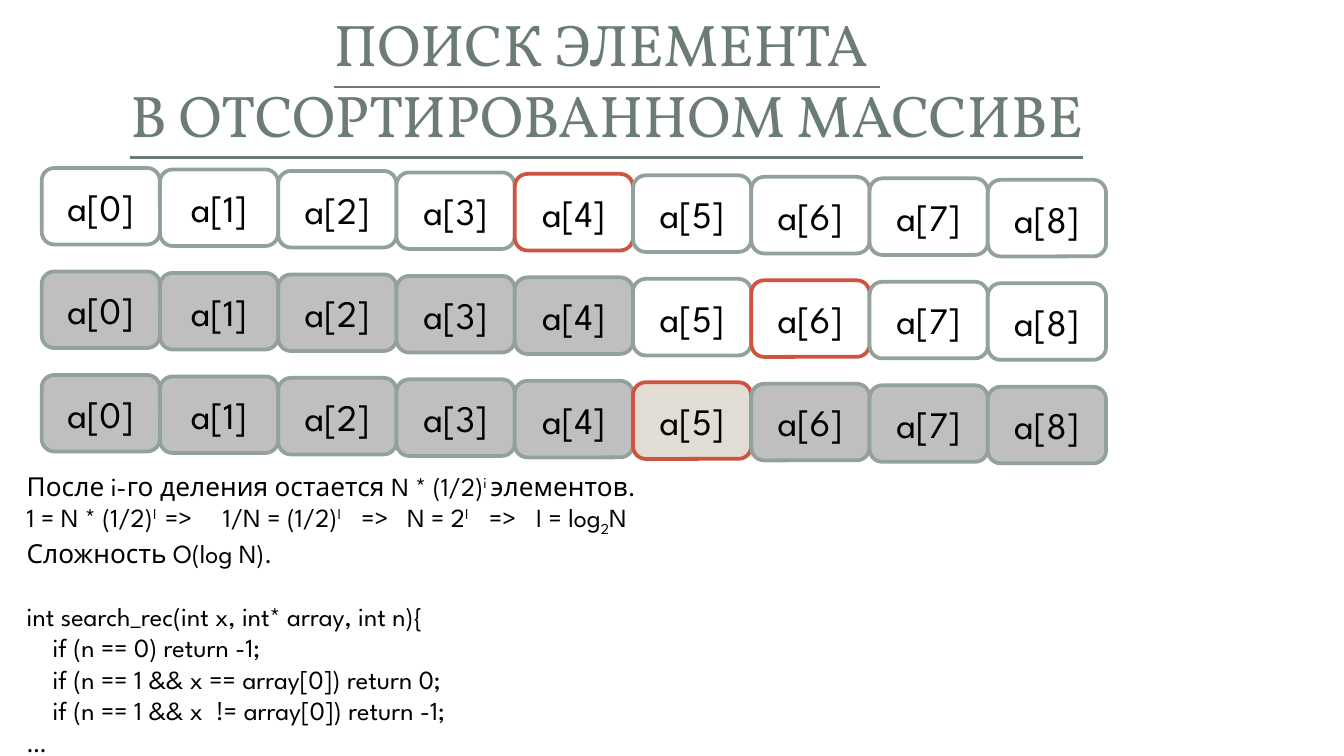
from pptx import Presentation
from pptx.dml.color import RGBColor
from pptx.enum import shapes, text
from pptx.oxml import parse_xml
from pptx.oxml.ns import nsdecls
from pptx.util import Inches, Pt

COLORS = {
    "title": "6B7D72", "ink": "000000", "edge": "93A299", "probe": "CF543F",
    "live": "FFFFFF", "dropped": "BFBFBF", "found": "E1DCD4",
}
TITLE = {"name": "Vollkorn", "size": Pt(31.5), "underline": True}
CELL = {"name": "League Spartan", "size": Pt(20)}
BODY = {"name": "League Spartan", "size": Pt(14)}

# The slide is a grid of 100 columns by 56.25 rows
UNIT = Inches(0.1)
COLS, ROWS = 100, 56.25
SUPER, SUB = "30000", "-25000"

# Search steps: first and last live index, probed index, fill of live cells
COUNT = 9
STEPS = [(0, 8, 4, "live"), (5, 8, 6, "live"), (5, 5, 5, "found")]

FORMULAS = [
    [("После i-го деления остается N * (1/2)",), ("i ", SUPER), ("элементов.",)],
    [("1 = N * (1/2)",), ("I", SUPER), ("\t=>\t1/N = (1/2)",), ("I", SUPER),
     ("\t=>\tN = 2",), ("I", SUPER), ("\t=>\tI = log",), ("2", SUB), ("N",)],
    [("Сложность O(log N).",)],
]
FORMULA_TABS = [10.3, 14.6, 24.9, 28.3, 34.4, 37.9]
CODE = [
    "int search_rec(int x, int* array, int n){",
    "    if (n == 0) return -1;",
    "    if (n == 1 && x == array[0]) return 0;",
    "    if (n == 1 && x  != array[0]) return -1;",
    "…",
]


def grid(*values):
    return [int(v * UNIT) for v in values]


def rgb(name):
    return RGBColor.from_string(COLORS[name])


def add_run(p, words, style, color="ink", baseline=None):
    r = p.add_run()
    r.text = words
    for key, value in style.items():
        setattr(r.font, key, value)
    r.font.color.rgb = rgb(color)
    if baseline:
        r._r.get_or_add_rPr().set("baseline", baseline)


def add_tabs(p, stops):
    tabs = "".join(f'<a:tab pos="{pos}" algn="l"/>' for pos in grid(*stops))
    p._p.get_or_add_pPr().append(
        parse_xml(f'<a:tabLst {nsdecls("a")}>{tabs}</a:tabLst>'))


def add_title(s, box):
    tf = s.shapes.add_textbox(*grid(*box)).text_frame
    tf.word_wrap = True
    tf.vertical_anchor = text.MSO_ANCHOR.MIDDLE
    p = tf.paragraphs[0]
    p.alignment = text.PP_ALIGN.CENTER
    add_run(p, "ПОИСК ЭЛЕМЕНТА ", TITLE, "title")
    p.add_line_break()
    add_run(p, "В ОТСОРТИРОВАННОМ МАССИВЕ", TITLE, "title")


def add_array(s, box, step, drop=0.11):
    """One row of cells, each a little lower than the one before."""
    left, top, width, height = box
    first, last, probe, live_fill = step
    cell_width = width / COUNT
    group = s.shapes.add_group_shape()
    for i in range(COUNT):
        sp = group.shapes.add_shape(
            shapes.MSO_SHAPE.ROUNDED_RECTANGLE,
            *grid(left + i * cell_width, top + i * drop, cell_width, height))
        sp.shadow.inherit = False
        sp.fill.solid()
        sp.fill.fore_color.rgb = rgb(live_fill if first <= i <= last else "dropped")
        sp.line.color.rgb = rgb("probe" if i == probe else "edge")
        sp.line.width = Pt(2)
        tf = sp.text_frame
        tf.vertical_anchor = text.MSO_ANCHOR.MIDDLE
        p = tf.paragraphs[0]
        p.alignment = text.PP_ALIGN.CENTER
        add_run(p, f"a[{i}]", CELL)


def add_explanation(s, box):
    tf = s.shapes.add_textbox(*grid(*box)).text_frame
    tf.word_wrap = True
    lines = FORMULAS + [[(line,)] for line in CODE]
    for i, parts in enumerate(lines):
        p = tf.add_paragraph() if i else tf.paragraphs[0]
        if i == 1:
            add_tabs(p, FORMULA_TABS)
        if i == len(FORMULAS):
            p.space_before = Pt(17)
        for words, *baseline in parts:
            add_run(p, words, BODY, "ink", *baseline)


def main():
    prs = Presentation()
    prs.slide_width, prs.slide_height = grid(COLS, ROWS)
    s = prs.slides.add_slide(prs.slide_layouts[6])

    # Heading
    add_title(s, (0, 1.6, 90.3, 8.5))

    # Array after each search step
    for n, step in enumerate(STEPS):
        add_array(s, (3.1, 12.5 + n * 7.7, 79.2, 5.7), step)

    # Complexity and code
    add_explanation(s, (1, 34.5, 69.5, 22.2))

    prs.save("out.pptx")


if __name__ == "__main__":
    main()
